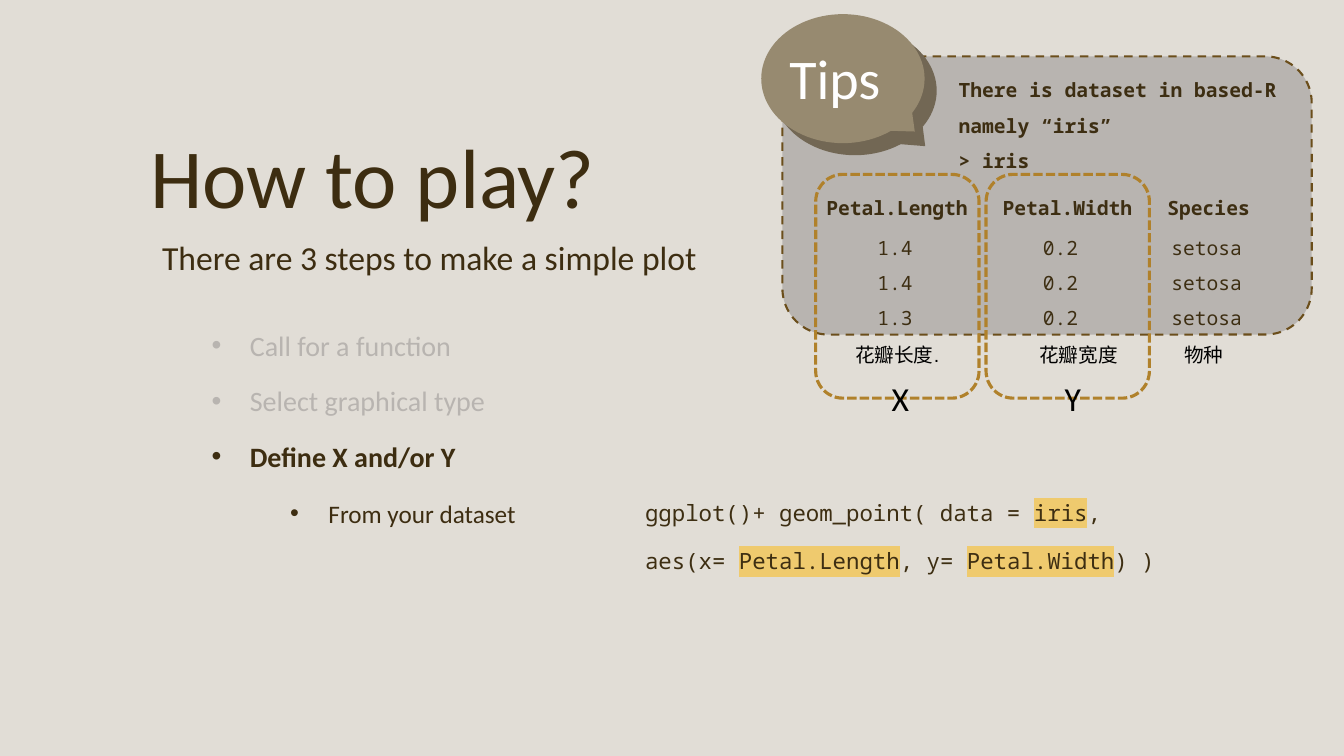
import pptx
import pptx.dml.color
import pptx.enum.dml
import pptx.enum.shapes
import pptx.enum.text
import pptx.oxml
import pptx.oxml.ns
import pptx.util
from lxml import etree
from pptx.util import Inches

COLORS = {
    "background": "E1DDD6", "title": "3D2D11", "code": "3D2E12", "muted": "B8B4B0",
    "panel": "B8B4B0", "panel_edge": "6B4E1B", "column_edge": "B0812B",
    "bubble": "978A70", "bubble_shade": "726754", "highlight": "EFCA6E",
    "white": "FFFFFF", "black": "000000",
}
SANS, MONO = "Calibri", "Noto Sans Mono"
SHAPES = pptx.enum.shapes.MSO_SHAPE
DASHES = pptx.enum.dml.MSO_LINE
ALIGN = pptx.enum.text.PP_ALIGN


def rgb(name):
    return pptx.dml.color.RGBColor.from_string(COLORS[name])


def add_child(parent, tag, **attributes):
    child = etree.SubElement(parent, pptx.oxml.ns.qn(tag))
    for key, value in attributes.items():
        child.set(key, str(value))
    return child


def add_text(slide, box, lines, size, color, font=SANS, bold=False, wrap=False,
             spacing=None, align=None, bullet=False, tabs=()):
    """Add a text box; a line is a string or a list of (text, highlighted) pairs."""
    frame = slide.shapes.add_textbox(*map(Inches, box)).text_frame
    frame.word_wrap = wrap
    frame.auto_size = pptx.enum.text.MSO_AUTO_SIZE.SHAPE_TO_FIT_TEXT
    for index, line in enumerate(lines):
        paragraph = frame.add_paragraph() if index else frame.paragraphs[0]
        for text, highlighted in [(line, False)] if isinstance(line, str) else line:
            run = paragraph.add_run()
            run.text = text
            if highlighted:
                mark = add_child(run.font._element, "a:highlight")
                add_child(mark, "a:srgbClr", val=COLORS["highlight"])
        paragraph.line_spacing = spacing
        paragraph.alignment = align
        properties = paragraph._p.get_or_add_pPr()
        if bullet:
            properties.set("marL", str(Inches(0.38)))
            properties.set("indent", str(-Inches(0.38)))
            add_child(properties, "a:buFont", typeface="Arial")
            add_child(properties, "a:buChar", char="•")
        if tabs:
            stops = add_child(properties, "a:tabLst")
            for stop in tabs:
                add_child(stops, "a:tab", pos=Inches(stop), algn="ctr")
        paragraph.font.size = pptx.util.Pt(size)
        paragraph.font.name = font
        paragraph.font.bold = bold
        paragraph.font.color.rgb = rgb(color)


def add_shape(slide, kind, box, fill=None, edge=None, width=0, dash=None):
    shape = slide.shapes.add_shape(kind, *map(Inches, box))
    shape.shadow.inherit = False
    if fill:
        shape.fill.solid()
        shape.fill.fore_color.rgb = rgb(fill)
    else:
        shape.fill.background()
    if edge:
        shape.line.color.rgb = rgb(edge)
        shape.line.width = pptx.util.Pt(width)
        shape.line.dash_style = dash
    else:
        shape.line.fill.background()
    return shape


def add_heading(slide, left, top):
    add_text(slide, (left, top, 4.66, 1.11), ["How to play?"], 60, "title")
    add_text(slide, (left + 0.12, top + 1.11, 5.53, 0.5),
             ["There are 3 steps to make a simple plot"], 24, "title")


def add_steps(slide, left, top):
    steps = [("Call for a function", 2.6, False),
             ("Select graphical type", 2.99, False),
             ("Define X and/or Y", 2.64, True)]
    for index, (step, width, current) in enumerate(steps):
        add_text(slide, (left, top + 0.55 * index, width, 0.55), [step], 20,
                 "title" if current else "muted", bold=current, spacing=1.5, bullet=True)
    add_text(slide, (left + 0.78, top + 1.7, 2.46, 0.51), ["From your dataset"], 18,
             "title", spacing=1.5, bullet=True)


def add_iris_rows(slide, left, top):
    """Place the header, values and translations on centred tab stops."""
    def add_rows(offset, height, rows, centers, **style):
        add_text(slide, (left, top + offset, 4.67, height),
                 ["\t" + "\t".join(row) for row in rows], 14,
                 wrap=True, tabs=centers, **style)

    add_rows(0, 0.41, [("Petal.Length", "Petal.Width", "Species")],
             (0.83, 2.52, 3.92), color="code", font=MONO, bold=True, spacing=1.5)
    add_rows(0.39, 1.12, [(length, "0.2", "setosa") for length in ("1.4", "1.4", "1.3")],
             (0.81, 2.45, 3.9), color="code", font=MONO, spacing=1.5)
    add_rows(1.57, 0.34, [("花瓣长度.", "花瓣宽度", "物种")],
             (0.83, 2.63, 3.87), color="black", font="Arial")


def add_tips(slide, left, top):
    add_shape(slide, SHAPES.ROUNDED_RECTANGLE, (left, top, 5.25, 2.76),
              "panel", "panel_edge", 1.5, DASHES.DASH)
    add_text(slide, (left + 1.65, top + 0.05, 3.82, 1.12),
             ["There is dataset in based-R namely “iris”", "> iris"], 14, "code",
             font=MONO, bold=True, wrap=True, spacing=1.5)
    add_iris_rows(slide, left + 0.21, top + 1.22)

    bubbles = [(-0.09, -0.3, "bubble_shade", (0.43, 0.43)),
               (-0.21, -0.42, "bubble", (0.44, 0.41))]
    for dx, dy, fill, tail in bubbles:
        bubble = add_shape(slide, SHAPES.OVAL_CALLOUT,
                           (left + dx, top + dy, 1.62, 1.28), fill)
        bubble.adjustments[0], bubble.adjustments[1] = tail
    add_text(slide, (left - 0.03, top - 0.18, 1.11, 0.77), ["Tips"], 40, "white")

    for axis, dx, axis_dx in [("X", 0.33, 0.81), ("Y", 2.02, 2.52)]:
        add_shape(slide, SHAPES.ROUNDED_RECTANGLE, (left + dx, top + 1.17, 1.62, 2.22),
                  edge="column_edge", width=2.25, dash=DASHES.SQUARE_DOT)
        add_text(slide, (left + axis_dx, top + 3.14, 0.72, 0.5), [axis], 24, "black",
                 wrap=True, align=ALIGN.CENTER)


def add_code(slide, left, top):
    lines = [
        (4.93, [("ggplot()+ geom_point( data = ", False), ("iris", True), (",", False)]),
        (5.47, [("aes(x= ", False), ("Petal.Length", True), (", y= ", False),
                ("Petal.Width", True), (") )", False)]),
    ]
    for index, (width, line) in enumerate(lines):
        add_text(slide, (left, top + 0.48 * index, width, 0.46), [line], 16, "code",
                 font=MONO, spacing=1.5)


def main():
    presentation = pptx.Presentation()
    presentation.slide_width = Inches(13.33)
    presentation.slide_height = Inches(7.5)
    slide = presentation.slides.add_slide(presentation.slide_layouts[6])
    slide.background.fill.solid()
    slide.background.fill.fore_color.rgb = rgb("background")
    add_heading(slide, 1.39, 1.19)
    add_steps(slide, 2, 3.04)
    add_tips(slide, 7.76, 0.56)
    add_code(slide, 6.3, 4.77)
    presentation.save("out.pptx")


if __name__ == "__main__":
    main()
